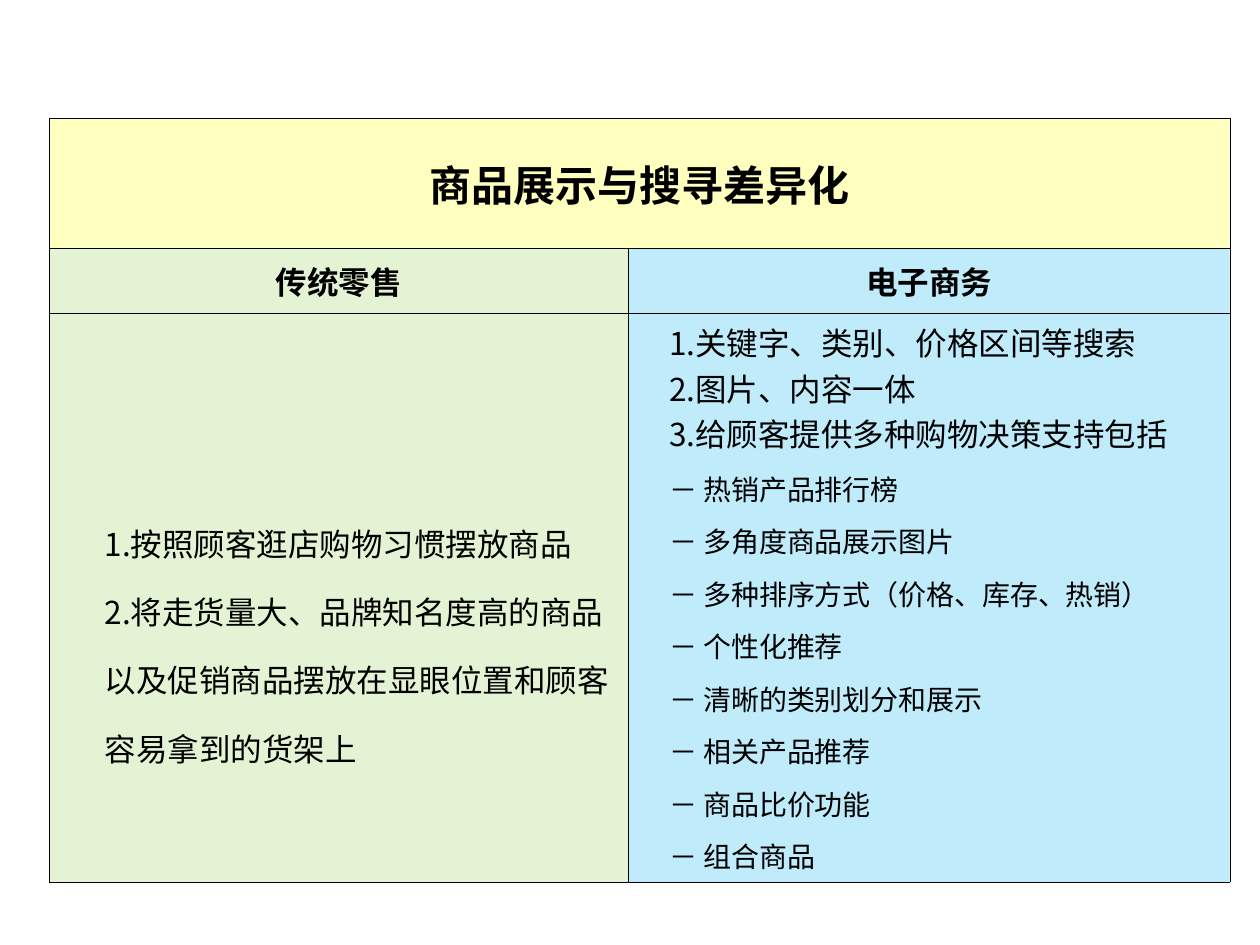
from lxml.etree import SubElement
from pptx import Presentation
from pptx.dml.color import RGBColor
from pptx.enum.text import MSO_ANCHOR as Anchor, PP_ALIGN as Align
from pptx.oxml.ns import qn
from pptx.util import Cm, Pt

FONT = "Noto Sans CJK SC"
COLORS = {"text": "000000", "title": "FFFF00", "retail": "92D050", "online": "00B0F0"}
FILL_ALPHA = 25000
COLUMNS = (11.68, 12.12)
ROWS = (2.62, 1.3, 11.22)
CELL_FORMAT = {
    "vertical_anchor": Anchor.MIDDLE,
    "margin_left": Cm(0.03),
    "margin_right": Cm(0.03),
    "margin_top": Cm(0.13),
    "margin_bottom": Cm(0.13),
}
RETAIL_POINTS = (
    ("1.按照顾客逛店购物习惯摆放商品", Pt(80)),
    ("2.将走货量大、品牌知名度高的商品以及促销商品摆放在显眼位置和顾客容易拿到的货架上", 1.5),
)
ONLINE_POINTS = "1.关键字、类别、价格区间等搜索\v2.图片、内容一体\v3.给顾客提供多种购物决策支持包括"
ONLINE_AIDS = (
    "热销产品排行榜",
    "多角度商品展示图片",
    "多种排序方式（价格、库存、热销）",
    "个性化推荐",
    "清晰的类别划分和展示",
    "相关产品推荐",
    "商品比价功能",
    "组合商品",
)


def apply_format(target, values):
    """Set every attribute in values on the target."""
    for name, value in values.items():
        setattr(target, name, value)


def style_cell(cell, color):
    """Give a cell its margins, thin borders and translucent fill."""
    apply_format(cell, CELL_FORMAT)
    properties = cell._tc.get_or_add_tcPr()
    for side in ("a:lnL", "a:lnR", "a:lnT", "a:lnB"):
        border = SubElement(properties, qn(side), w=str(Pt(0.23)))
        solid = SubElement(border, qn("a:solidFill"))
        SubElement(solid, qn("a:srgbClr"), val=COLORS["text"])
    cell.fill.solid()
    cell.fill.fore_color.rgb = RGBColor.from_string(COLORS[color])
    tint = properties.find(qn("a:solidFill")).find(qn("a:srgbClr"))
    SubElement(tint, qn("a:alpha"), val=str(FILL_ALPHA))


def write_para(para, text, size, bold=False, indent=0, **layout):
    """Fill one paragraph and format its spans."""
    para.text = text
    apply_format(para, layout)
    if indent:
        apply_indent = {"marL": str(Cm(indent)), "indent": "0"}
        for name, value in apply_indent.items():
            para._p.get_or_add_pPr().set(name, value)
    for span in para.runs:
        apply_format(span.font, {"name": FONT, "size": Pt(size), "bold": bold})
        span.font.color.rgb = RGBColor.from_string(COLORS["text"])
        east_asian = SubElement(span._r.get_or_add_rPr(), qn("a:ea"))
        east_asian.set("typeface", FONT)


def write_heading(cell, text, size):
    """Put a centred bold heading in a cell."""
    write_para(cell.text_frame.paragraphs[0], text, size, True, alignment=Align.CENTER)


def write_retail(cell):
    """List the traits of traditional retail."""
    frame = cell.text_frame
    for index, (text, spacing) in enumerate(RETAIL_POINTS):
        para = frame.add_paragraph() if index else frame.paragraphs[0]
        write_para(para, text, 18, indent=1.09, alignment=Align.LEFT, line_spacing=spacing)


def write_online(cell):
    """List the traits of online shops and their shopping aids."""
    frame = cell.text_frame
    layout = {"indent": 0.79, "alignment": Align.LEFT, "line_spacing": Pt(26)}
    write_para(frame.paragraphs[0], ONLINE_POINTS, 18, **layout)
    for aid in ONLINE_AIDS:
        write_para(frame.add_paragraph(), f"－ {aid}", 16, space_before=Pt(4), **layout)


def add_comparison(page, left, top):
    """Build the comparison table with its top left corner at the given point."""
    box = page.shapes.add_table(
        len(ROWS), len(COLUMNS), Cm(left), Cm(top), Cm(sum(COLUMNS)), Cm(sum(ROWS))
    )
    table = box.table
    apply_format(table, {"first_row": False, "horz_banding": False})
    for column, width in zip(table.columns, COLUMNS):
        column.width = Cm(width)
    for row, height in zip(table.rows, ROWS):
        row.height = Cm(height)
    for row_index, row in enumerate(table.rows):
        for cell, color in zip(row.cells, ("retail", "online")):
            style_cell(cell, color if row_index else "title")
    table.cell(0, 0).merge(table.cell(0, 1))
    write_heading(table.cell(0, 0), "商品展示与搜寻差异化", 24)
    write_heading(table.cell(1, 0), "传统零售", 18)
    write_heading(table.cell(1, 1), "电子商务", 18)
    write_retail(table.cell(2, 0))
    write_online(table.cell(2, 1))


def main():
    """Create the deck and save it."""
    deck = Presentation()
    apply_format(deck, {"slide_width": Cm(25.4), "slide_height": Cm(19.05)})
    page = deck.slides.add_slide(deck.slide_layouts[6])
    add_comparison(page, 0.99, 2.39)
    deck.save("out.pptx")


if __name__ == "__main__":
    main()
